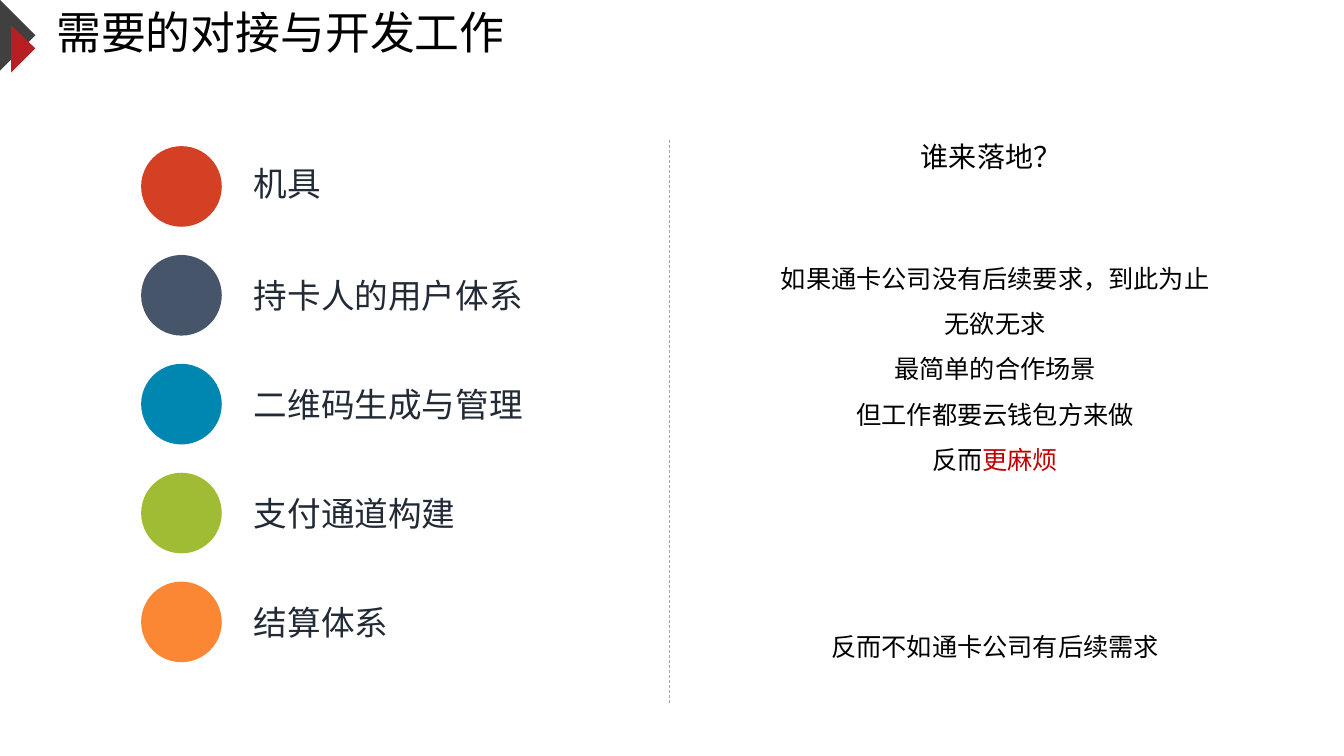
from dataclasses import dataclass

from lxml import etree
from pptx import Presentation
from pptx.dml.color import RGBColor
from pptx.enum.dml import MSO_LINE
from pptx.enum.shapes import MSO_CONNECTOR, MSO_SHAPE
from pptx.enum.text import MSO_ANCHOR, MSO_AUTO_SIZE, PP_ALIGN
from pptx.oxml.ns import qn
from pptx.util import Pt

STRAIGHT = MSO_CONNECTOR.STRAIGHT
OVAL = MSO_SHAPE.OVAL
DASH = MSO_LINE.DASH
LEFT, CENTER = PP_ALIGN.LEFT, PP_ALIGN.CENTER
TOP, MIDDLE = MSO_ANCHOR.TOP, MSO_ANCHOR.MIDDLE
GROW, FIXED = MSO_AUTO_SIZE.SHAPE_TO_FIT_TEXT, MSO_AUTO_SIZE.NONE
EMU_PER_PX = 9144


@dataclass(frozen=True)
class Theme:
    font: str = "Noto Sans CJK SC"
    text: str = "000000"
    label: str = "222A35"
    accent: str = "C00000"
    divider: str = "A6A6A6"
    dark_arrow: str = "404040"
    red_arrow: str = "B71F22"
    title_size: int = 32
    label_size: int = 24
    heading_size: int = 20
    body_size: int = 18


@dataclass(frozen=True)
class Run:
    text: str
    color: str = ""


@dataclass(frozen=True)
class WorkItem:
    label: str
    color: str
    label_y: int


@dataclass(frozen=True)
class Arrow:
    points: tuple[tuple[int, int], ...]
    color: str


THEME = Theme()
ARROWS = (
    Arrow(((0, 0), (35, 35), (0, 70)), THEME.dark_arrow),
    Arrow(((11, 25), (35, 48), (11, 72)), THEME.red_arrow),
)
ITEMS = (
    WorkItem("机具", "D44024", 157),
    WorkItem("持卡人的用户体系", "46556A", 268),
    WorkItem("二维码生成与管理", "0087B1", 376),
    WorkItem("支付通道构建", "A0BC34", 484),
    WorkItem("结算体系", "FB8734", 592),
)
DOT_X, DOT_Y, DOT_SIZE, DOT_STEP = 140, 145, 80, 108
BODY = (
    (Run("如果通卡公司没有后续要求，到此为止"),),
    (Run("无欲无求"),),
    (Run("最简单的合作场景"),),
    (Run("但工作都要云钱包方来做"),),
    (Run("反而"), Run("更麻烦", THEME.accent)),
)


def px(n: int) -> int:
    return n * EMU_PER_PX


def rgb(color: str) -> RGBColor:
    return RGBColor.from_string(color)


def paint(sp, color: str) -> None:
    sp.shadow.inherit = False
    sp.fill.solid()
    sp.fill.fore_color.rgb = rgb(color)
    sp.line.fill.background()


def add_text(s, paragraphs: tuple[tuple[Run, ...], ...], x: int, y: int, w: int, h: int, *,
             size: int, color: str = THEME.text, align=LEFT, anchor=TOP,
             spacing: float = 1.0, auto_size=GROW) -> None:
    tf = s.shapes.add_textbox(px(x), px(y), px(w), px(h)).text_frame
    tf.word_wrap = True
    tf.auto_size = auto_size
    tf.vertical_anchor = anchor
    for i, runs in enumerate(paragraphs):
        p = tf.add_paragraph() if i else tf.paragraphs[0]
        p.alignment = align
        p.line_spacing = spacing
        for run in runs:
            r = p.add_run()
            r.text = run.text
            r.font.size = Pt(size)
            r.font.color.rgb = rgb(run.color or color)
            r.font.name = THEME.font
            ea = etree.SubElement(r.font._element, qn("a:ea"))
            ea.set("typeface", THEME.font)


def add_arrow(s, arrow: Arrow) -> None:
    start, *rest = arrow.points
    builder = s.shapes.build_freeform(*start, scale=EMU_PER_PX)
    builder.add_line_segments(rest, close=True)
    paint(builder.convert_to_shape(), arrow.color)


def add_divider(s, x: int, top: int, bottom: int) -> None:
    line = s.shapes.add_connector(STRAIGHT, px(x), px(top), px(x), px(bottom))
    line.line.color.rgb = rgb(THEME.divider)
    line.line.width = Pt(0.5)
    line.line.dash_style = DASH
    etree.SubElement(line._element.spPr, qn("a:effectLst"))


def add_item(s, item: WorkItem, row: int) -> None:
    y = DOT_Y + row * DOT_STEP
    dot = s.shapes.add_shape(OVAL, px(DOT_X), px(y), px(DOT_SIZE), px(DOT_SIZE))
    paint(dot, item.color)
    add_text(s, ((Run(item.label),),), 242, item.label_y, 357, 50,
             size=THEME.label_size, color=THEME.label)


def main() -> None:
    prs = Presentation()
    prs.slide_width, prs.slide_height = px(1333), px(750)
    s = prs.slides.add_slide(prs.slide_layouts[6])
    for arrow in ARROWS:
        add_arrow(s, arrow)
    add_text(s, ((Run("需要的对接与开发工作"),),), 46, 9, 937, 52,
             size=THEME.title_size, anchor=MIDDLE, spacing=0.9, auto_size=FIXED)
    add_text(s, ((Run("谁来落地？"),),), 739, 133, 488, 44,
             size=THEME.heading_size, align=CENTER, anchor=MIDDLE)
    add_divider(s, 664, 139, 699)
    add_text(s, BODY, 710, 241, 554, 237,
             size=THEME.body_size, align=CENTER, spacing=1.5)
    add_text(s, ((Run("反而不如通卡公司有后续需求"),),), 710, 606, 554, 50,
             size=THEME.body_size, align=CENTER, spacing=1.5)
    for row, item in enumerate(ITEMS):
        add_item(s, item, row)
    prs.save("out.pptx")


if __name__ == "__main__":
    main()
